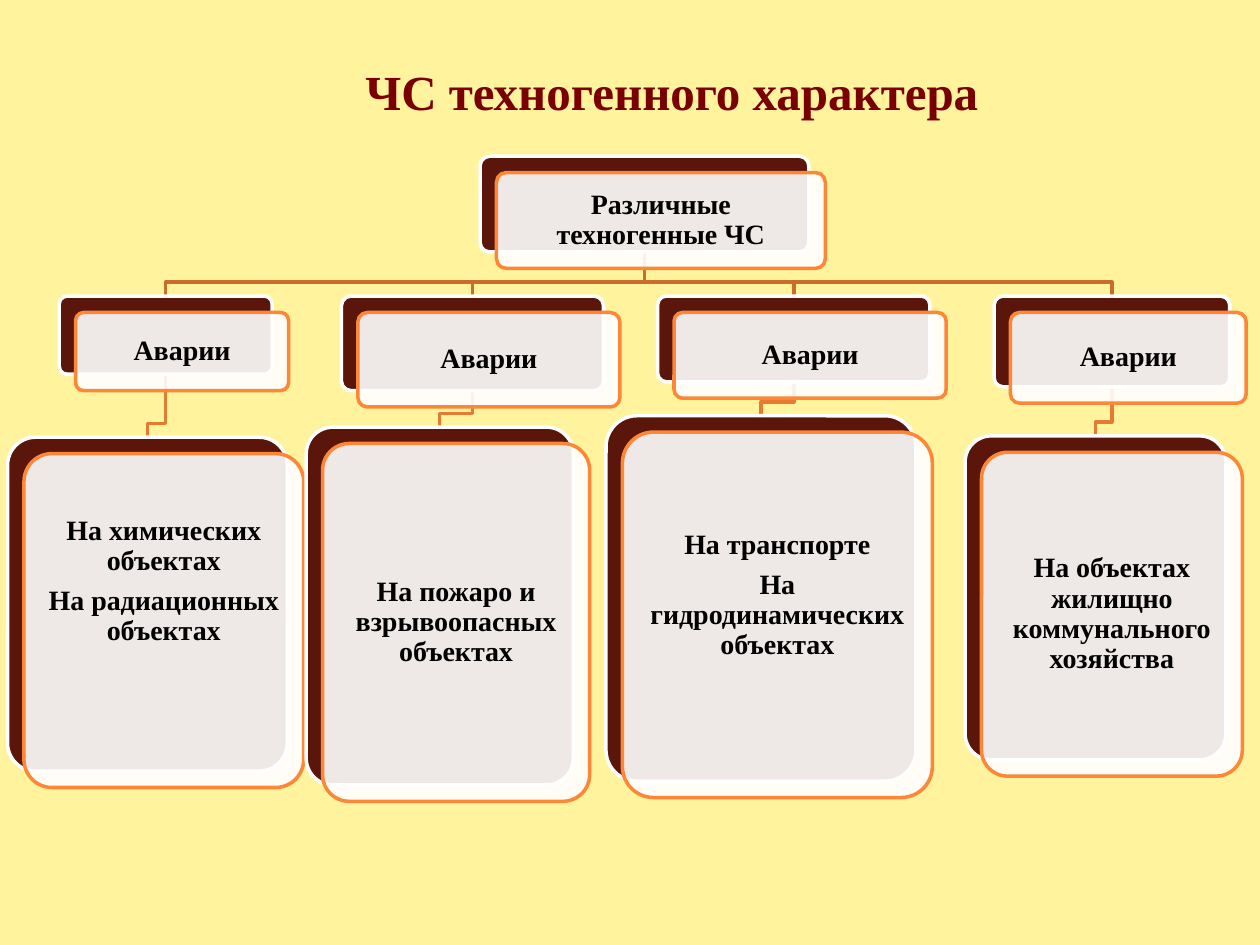
from pptx import Presentation
from pptx.dml.color import RGBColor
from pptx.enum.shapes import MSO_SHAPE as Shape
from pptx.enum.text import MSO_ANCHOR as Anchor, PP_ALIGN as Align
from pptx.oxml.ns import qn
from pptx.util import Inches, Pt
from lxml.etree import SubElement

FONT = "Times New Roman"
OFFSET = 0.13
BEND = 0.11
INSET = 0.07

ROOT = (3.81, 1.24, 2.61, 0.76)
# Branch box, detail box, detail paragraphs, extra space under the detail text
BRANCHES = [
    ((0.47, 2.35, 1.69, 0.62), (0.06, 3.47, 2.22, 2.65),
     ["На химических объектах", "На радиационных объектах"], 0.62),
    ((2.71, 2.35, 2.08, 0.75), (2.43, 3.39, 2.12, 2.84),
     ["На пожаро и взрывоопасных объектах"], 0),
    ((5.22, 2.35, 2.16, 0.68), (4.81, 3.3, 2.46, 2.9),
     ["На транспорте", "На гидродинамических объектах"], 0.31),
    ((7.89, 2.35, 1.87, 0.72), (7.66, 3.46, 2.07, 2.57),
     ["На объектах жилищно коммунального хозяйства"], 0),
]


def rgb(color):
    return RGBColor.from_string(color)


def add_run(p, text, size, color):
    r = p.add_run()
    r.text = text
    r.font.name = FONT
    r.font.size = Pt(size)
    r.font.bold = True
    r.font.color.rgb = rgb(color)


def set_line(sp, color):
    sp.line.color.rgb = rgb(color)
    sp.line.width = Pt(2)
    sp.shadow.inherit = False


def add_title(s, text):
    title = s.shapes.title
    title.left, title.top = Inches(2.8), Inches(0.44)
    title.width, title.height = Inches(5.12), Inches(0.57)
    tf = title.text_frame
    tf.word_wrap = False
    tf.vertical_anchor = Anchor.TOP
    p = tf.paragraphs[0]
    p.alignment = Align.LEFT
    add_run(p, text, 28, "7A0000")


def add_link(s, parent, child, color):
    """Draw a stepped line from the parent's bottom middle to the child's top middle."""
    left, top, width, height = parent
    x1, y1 = left + width / 2, top + height
    x2, y2 = child[0] + child[2] / 2, child[1]
    points = [(x1, y1), (x1, y2 - BEND), (x2, y2 - BEND), (x2, y2)]
    start, *rest = [(Inches(x), Inches(y)) for x, y in points]
    builder = s.shapes.build_freeform(*start)
    builder.add_line_segments(rest, close=False)
    sp = builder.convert_to_shape()
    sp.fill.background()
    set_line(sp, color)


def add_panel(s, box, fill, line):
    sp = s.shapes.add_shape(Shape.ROUNDED_RECTANGLE, *map(Inches, box))
    sp.adjustments[0] = 0.1
    sp.fill.solid()
    sp.fill.fore_color.rgb = rgb(fill)
    set_line(sp, line)
    return sp


def set_opacity(sp, percent):
    color = sp._element.spPr.find(qn("a:solidFill"))[0]
    SubElement(color, qn("a:alpha")).set("val", str(percent * 1000))


def add_card(s, box, paragraphs, space_below=0):
    """Add a dark panel and, shifted over it, a translucent panel with the text."""
    add_panel(s, box, "5A160B", "FFFFFF")
    left, top, width, height = box
    front = add_panel(s, (left + OFFSET, top + OFFSET, width, height), "FFFFFF", "FE8637")
    set_opacity(front, 90)
    tf = front.text_frame
    tf.word_wrap = True
    tf.vertical_anchor = Anchor.MIDDLE
    tf.margin_left = tf.margin_right = tf.margin_top = Inches(INSET)
    tf.margin_bottom = Inches(INSET + space_below)
    for i, text in enumerate(paragraphs):
        p = tf.add_paragraph() if i else tf.paragraphs[0]
        p.alignment = Align.CENTER
        p.line_spacing = 0.9
        p.space_after = Pt(5.6)
        add_run(p, text, 16, "000000")


def main():
    prs = Presentation()
    prs.slide_width, prs.slide_height = Inches(10), Inches(7.5)
    s = prs.slides.add_slide(prs.slide_layouts[5])
    s.background.fill.solid()
    s.background.fill.fore_color.rgb = rgb("FFF39D")

    add_title(s, "ЧС техногенного характера")
    for branch, detail, _, _ in reversed(BRANCHES):
        add_link(s, branch, detail, "E77A32")
        add_link(s, ROOT, branch, "CB6B2C")
    add_card(s, ROOT, ["Различные техногенные ЧС"])
    for branch, detail, paragraphs, space_below in BRANCHES:
        add_card(s, branch, ["Аварии"])
        add_card(s, detail, paragraphs, space_below)
    prs.save("out.pptx")


if __name__ == "__main__":
    main()
